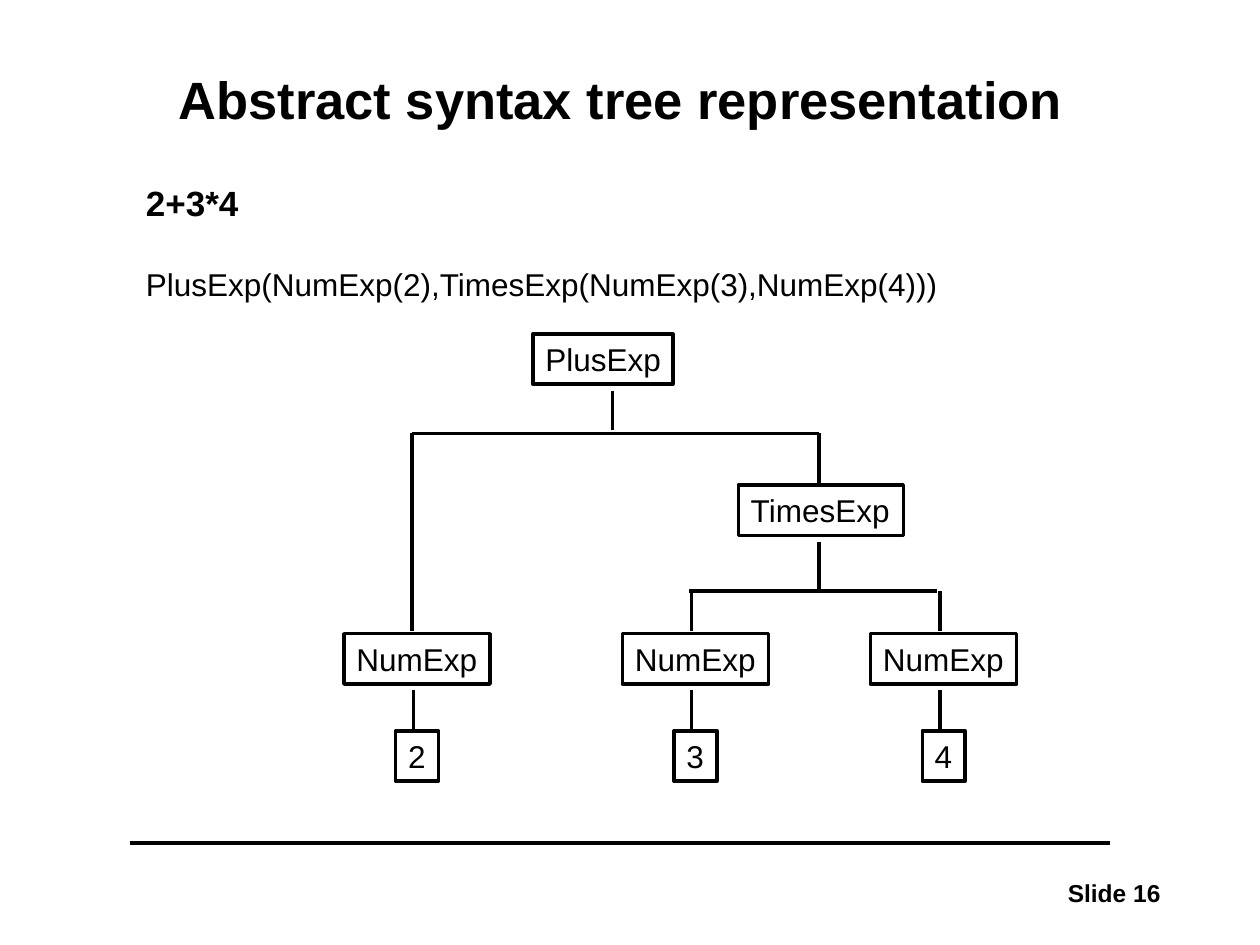
from dataclasses import dataclass

import pptx
import pptx.dml.color
import pptx.enum.shapes
import pptx.enum.text
import pptx.oxml
import pptx.util
from pptx.util import Inches

ALIGN = pptx.enum.text.PP_ALIGN
ANCHOR = pptx.enum.text.MSO_ANCHOR


@dataclass(frozen=True)
class Theme:
    ink: str = "000000"
    paper: str = "FFFFFF"
    font: str = "Arial"
    title_size: int = 30
    expression_size: int = 20
    text_size: int = 18
    footer_size: int = 14
    line_width: int = 2


class SlideBuilder:
    def __init__(self, slide, theme):
        self.slide = slide
        self.theme = theme
        slide.background.fill.solid()
        slide.background.fill.fore_color.rgb = self.color(theme.paper)

    def color(self, value):
        return pptx.dml.color.RGBColor.from_string(value)

    def add_text(self, paragraph, text, size, bold=False, align=ALIGN.LEFT):
        paragraph.alignment = align
        run = paragraph.add_run()
        run.text = text
        run.font.name = self.theme.font
        run.font.size = pptx.util.Pt(size)
        run.font.bold = bold
        run.font.color.rgb = self.color(self.theme.ink)

    def text_box(self, left, top, width, height, wrap=True, anchor=ANCHOR.TOP):
        box = self.slide.shapes.add_textbox(
            Inches(left), Inches(top), Inches(width), Inches(height))
        box.text_frame.word_wrap = wrap
        box.text_frame.vertical_anchor = anchor
        return box.text_frame

    def node(self, text, left, top, width, height=0.4):
        box = self.slide.shapes.add_shape(
            pptx.enum.shapes.MSO_SHAPE.RECTANGLE,
            Inches(left), Inches(top), Inches(width), Inches(height))
        box.shadow.inherit = False
        box.fill.background()
        box.line.color.rgb = self.color(self.theme.ink)
        box.line.width = pptx.util.Pt(self.theme.line_width)
        frame = box.text_frame
        frame.word_wrap = False
        frame.vertical_anchor = ANCHOR.TOP
        self.add_text(frame.paragraphs[0], text, self.theme.text_size)

    def line(self, x1, y1, x2, y2):
        connector = self.slide.shapes.add_connector(
            pptx.enum.shapes.MSO_CONNECTOR.STRAIGHT,
            Inches(x1), Inches(y1), Inches(x2), Inches(y2))
        connector.line.color.rgb = self.color(self.theme.ink)
        connector.line.width = pptx.util.Pt(self.theme.line_width)
        connector._element.spPr.append(pptx.oxml.parse_xml(
            '<a:effectLst xmlns:a='
            '"http://schemas.openxmlformats.org/drawingml/2006/main"/>'))

    def number_leaf(self, number, left):
        """Draw a NumExp node with its number below."""
        stem = left + 0.55
        self.node("NumExp", left, 5.03, 1.16)
        self.line(stem, 5.48, stem, 5.8)
        self.node(number, left + 0.41, 5.8, 0.34)


def main():
    deck = pptx.Presentation()
    deck.slide_width, deck.slide_height = Inches(10), Inches(7.5)
    theme = Theme()
    builder = SlideBuilder(deck.slides.add_slide(deck.slide_layouts[6]), theme)

    builder.line(1.03, 6.69, 8.81, 6.69)
    footer = builder.text_box(7.64, 6.92, 1.67, 0.33, wrap=False)
    builder.add_text(footer.paragraphs[0], "Slide 16", theme.footer_size,
                     bold=True, align=ALIGN.RIGHT)

    title = builder.text_box(1.08, 0.33, 7.69, 0.96, anchor=ANCHOR.MIDDLE)
    title.paragraphs[0].line_spacing = 0.9
    builder.add_text(title.paragraphs[0], "Abstract syntax tree representation",
                     theme.title_size, bold=True, align=ALIGN.CENTER)

    body = builder.text_box(1.06, 1.39, 7.9, 1.2)
    builder.add_text(body.paragraphs[0], "2+3*4", theme.expression_size,
                     bold=True)
    constructor = body.add_paragraph()
    constructor.space_before = pptx.util.Pt(24)
    builder.add_text(constructor,
                     "PlusExp(NumExp(2),TimesExp(NumExp(3),NumExp(4)))",
                     theme.text_size)

    for number, left in (("2", 2.73), ("3", 4.94), ("4", 6.91)):
        builder.number_leaf(number, left)

    builder.node("PlusExp", 4.23, 2.65, 1.11)
    builder.node("TimesExp", 5.86, 3.85, 1.31)

    plus_bar, times_bar, leaf_top = 3.44, 4.69, 5.01
    plus_left, times_stem = 3.27, 6.5
    builder.line(4.86, 3.1, 4.86, 3.41)
    builder.line(plus_left, plus_bar, times_stem, plus_bar)
    builder.line(plus_left, plus_bar, plus_left, leaf_top)
    builder.line(times_stem, plus_bar, times_stem, 3.83)
    builder.line(times_stem, 4.3, times_stem, times_bar)
    builder.line(5.47, times_bar, 7.44, times_bar)
    for branch in (5.49, 7.46):
        builder.line(branch, times_bar, branch, leaf_top)

    deck.save("out.pptx")


if __name__ == "__main__":
    main()
